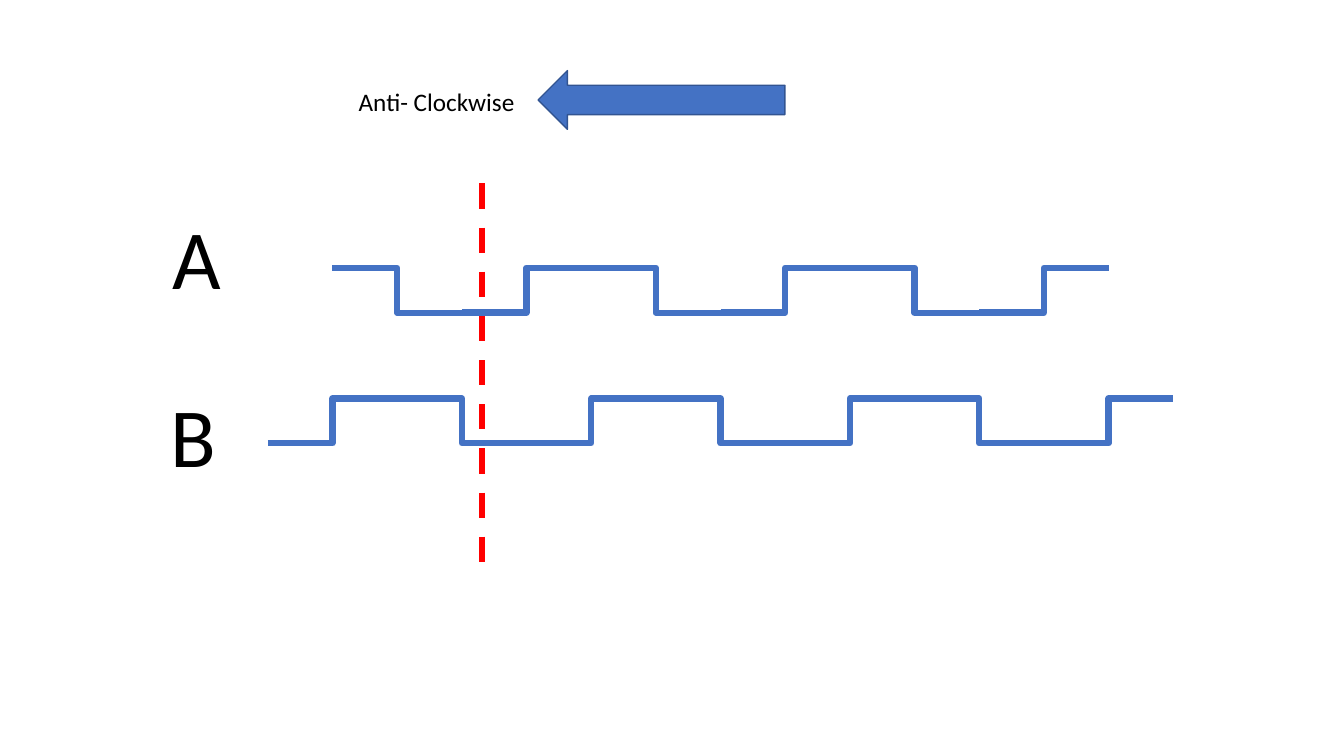
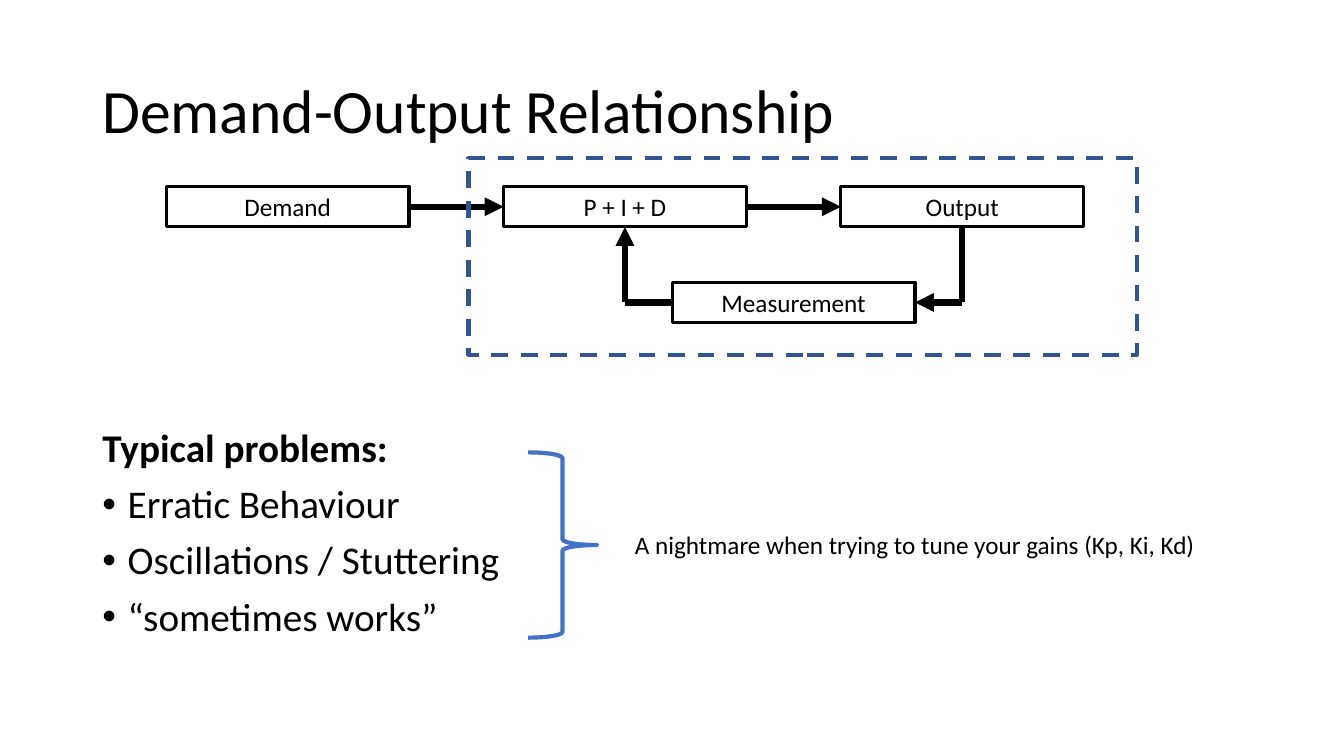
from lxml.etree import SubElement as Sub
from pptx import Presentation
from pptx.dml.color import RGBColor as RGB
from pptx.enum.dml import MSO_LINE as Dash
from pptx.enum.shapes import MSO_CONNECTOR as Conn, MSO_SHAPE as Kind
from pptx.enum.text import MSO_ANCHOR as Anchor, MSO_AUTO_SIZE as Auto, PP_ALIGN as Align
from pptx.oxml.ns import qn
from pptx.util import Cm, Pt

BLACK, BLUE, NAVY, RED = "000000", "4472C4", "325491", "FF0000"
FONT = "Calibri"
TOP, LEFT, BOTTOM, RIGHT = range(4)


def paint(item, color):
    if hasattr(item, "solid"):
        item.solid()
        item.fore_color.rgb = RGB.from_string(color)
    else:
        item.color.rgb = RGB.from_string(color)


def style(para, size, bold=False):
    font = para.font
    font.name, font.size, font.bold = FONT, Pt(size), bold
    paint(font, BLACK)


def stroke(line, color, width, dash=False):
    paint(line, color)
    line.width = Pt(width)
    if dash:
        line.dash_style = Dash.DASH


def bullet(para):
    props = para._p.get_or_add_pPr()
    props.set("marL", str(Cm(0.64)))
    props.set("indent", str(-Cm(0.64)))
    Sub(props, qn("a:buFont"), typeface="Arial")
    Sub(props, qn("a:buChar"), char="•")


def frame(slide, x, y, w, h):
    text = slide.shapes.add_textbox(Cm(x), Cm(y), Cm(w), Cm(h)).text_frame
    text.word_wrap = True
    return text


def label(slide, words, x, y, w, h, size=18):
    text = frame(slide, x, y, w, h)
    text.word_wrap = False
    text.auto_size = Auto.SHAPE_TO_FIT_TEXT
    text.text = words
    style(text.paragraphs[0], size)


def title(slide, words):
    text = frame(slide, 2.33, 1.01, 29.21, 3.68)
    text.vertical_anchor = Anchor.MIDDLE
    text.text = words
    para = text.paragraphs[0]
    para.line_spacing = 0.9
    style(para, 44)


def listing(slide, head, items):
    text = frame(slide, 2.33, 10.67, 29.21, 6.5)
    text.text = "\n".join([head, *items])
    for i, para in enumerate(text.paragraphs):
        para.line_spacing = 0.9
        para.space_before = Pt(10)
        if i:
            bullet(para)
        style(para, 28, bold=i == 0)


def shape(slide, kind, x, y, w, h, color, width, fill=None, dash=False):
    item = slide.shapes.add_shape(kind, Cm(x), Cm(y), Cm(w), Cm(h))
    item.shadow.inherit = False
    if fill:
        paint(item.fill, fill)
    else:
        item.fill.background()
    stroke(item.line, color, width, dash)
    return item


def block(slide, words, x, y):
    item = shape(slide, Kind.RECTANGLE, x, y, 6.12, 1.02, BLACK, 2.25)
    item.text_frame.text = words
    para = item.text_frame.paragraphs[0]
    para.alignment = Align.CENTER
    style(para, 18)
    return item


def wire(slide, start, end, color, kind=Conn.STRAIGHT, dash=False):
    item = slide.shapes.add_connector(kind, *start, *end)
    Sub(item._element.spPr, qn("a:effectLst"))
    stroke(item.line, color, 4.5, dash)
    return item


def spot(box, side):
    dx, dy = ((1, 0), (0, 1), (1, 2), (2, 1))[side]
    return box.left + box.width * dx // 2, box.top + box.height * dy // 2


def link(slide, start=None, end=None, bend=None, tip=True):
    first = spot(*start) if start else bend
    last = spot(*end) if end else bend
    item = wire(slide, first, last, BLACK)
    if start:
        item.begin_connect(*start)
    if end:
        item.end_connect(*end)
    if tip:
        Sub(item.line._get_or_add_ln(), qn("a:tailEnd"), type="triangle")


def wave(slide, x, high, low, count, step=3.26):
    for i in range(count):
        ends = [(Cm(x + step * n), Cm((high, low)[n % 2])) for n in (i, i + 1)]
        wire(slide, *ends, BLUE, Conn.ELBOW)


def signals(slide):
    wave(slide, 8.38, 6.75, 7.88, 6)
    wire(slide, (Cm(12.14), Cm(4.62)), (Cm(12.14), Cm(14.43)), RED, dash=True)
    wave(slide, 6.75, 11.17, 10.04, 7)
    label(slide, "A", 4.11, 5.05, 1.75, 2.82, 60)
    label(slide, "B", 4.06, 9.53, 1.68, 2.82, 60)
    shape(slide, Kind.LEFT_ARROW, 13.56, 1.78, 6.22, 1.48, NAVY, 1, BLUE)
    label(slide, "Anti- Clockwise", 8.79, 2.06, 4.5, 1.02)


def control(slide):
    title(slide, "Demand-Output Relationship")
    listing(slide, "Typical problems:", [
        "Erratic Behaviour", "Oscillations / Stuttering", "“sometimes works”"])
    x, y, step = 4.19, 4.7, 8.5
    demand, pid, output = [
        block(slide, words, x + step * i, y)
        for i, words in enumerate(("Demand", "P + I + D", "Output"))]
    gauge = block(slide, "Measurement", x + step * 1.5, 7.11)
    level = spot(gauge, LEFT)[1]
    near = spot(pid, BOTTOM)[0], level
    far = spot(output, BOTTOM)[0], level
    link(slide, (demand, RIGHT), (pid, LEFT))
    link(slide, (pid, RIGHT), (output, LEFT))
    link(slide, end=(pid, BOTTOM), bend=near)
    link(slide, end=(gauge, RIGHT), bend=far)
    link(slide, start=(output, BOTTOM), bend=far, tip=False)
    link(slide, start=(gauge, LEFT), bend=near, tip=False)
    shape(slide, Kind.RECTANGLE, 11.81, 3.99, 16.84, 4.95, NAVY, 3, dash=True)
    shape(slide, Kind.RIGHT_BRACE, 13.31, 11.4, 1.73, 4.67, BLUE, 3)
    label(slide, "A nightmare when trying to tune your gains (Kp, Ki, Kd)",
          15.75, 13.21, 14.81, 1.02)


def main():
    deck = Presentation()
    deck.slide_width, deck.slide_height = Cm(33.87), Cm(19.05)
    for build in (signals, control):
        build(deck.slides.add_slide(deck.slide_layouts[6]))
    deck.save("out.pptx")


if __name__ == "__main__":
    main()
